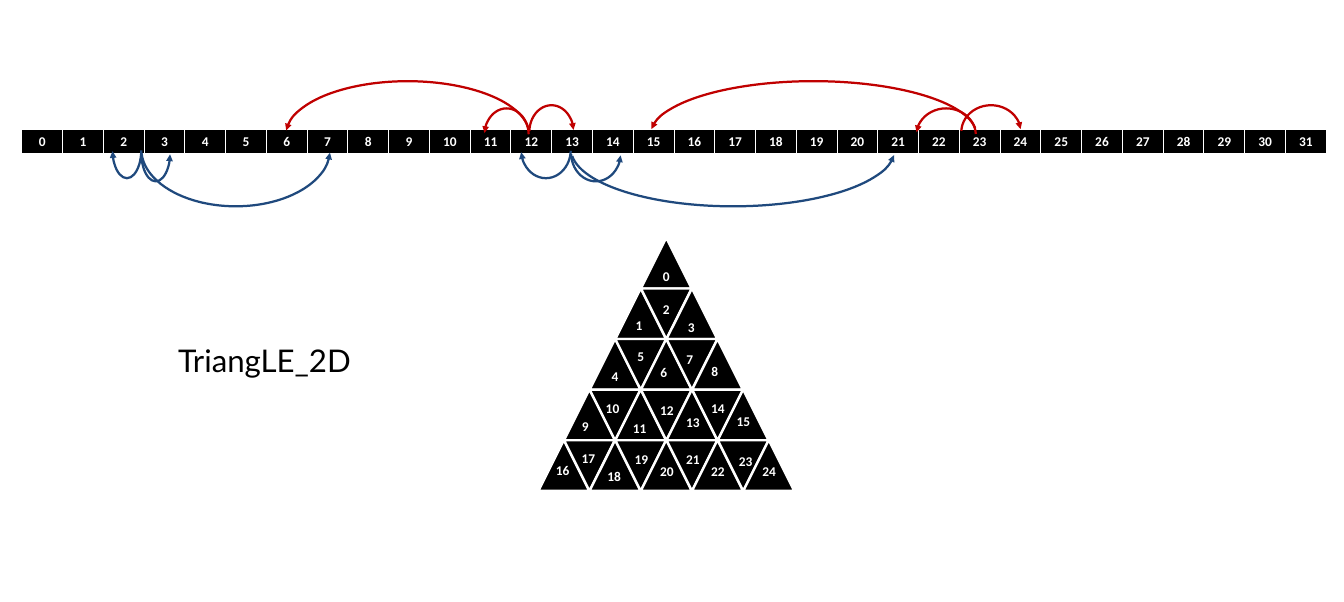
import math
from dataclasses import dataclass

import pptx
import pptx.dml.color
import pptx.enum.shapes
import pptx.enum.text
import pptx.oxml
import pptx.oxml.ns
import pptx.util
from pptx.util import Cm

BLACK, WHITE, RED, BLUE = "000000", "FFFFFF", "C00000", "1F497D"
SIDE, HALF_STEP = 1.6, 0.81
APEX_LEFT, APEX_TOP = 20.27, 7.53
CELL_COUNT = 32


@dataclass
class Hop:
    left: float
    top: float
    width: float
    height: float
    color: str
    flip_h: bool = False
    flip_v: bool = False
    end: float = 212.57


@dataclass
class Label:
    left: float
    top: float


HOPS = [
    Hop(16.74, 3.33, 1.4, 1.7, RED),
    Hop(15.32, 3.43, 1.4, 1.7, RED, flip_h=True),
    Hop(9.04, 2.57, 7.7, 3.4, RED, flip_h=True, end=214.75),
    Hop(30.4, 3.33, 1.88, 1.7, RED),
    Hop(28.98, 3.43, 1.88, 1.7, RED, flip_h=True),
    Hop(20.57, 2.57, 10.31, 3.4, RED, flip_h=True, end=214.75),
    Hop(18.06, 3.94, 1.57, 1.8, BLUE, flip_v=True),
    Hop(16.48, 3.84, 1.57, 1.8, BLUE, flip_h=True, flip_v=True),
    Hop(18.06, 2.92, 10.24, 3.61, BLUE, flip_v=True, end=214.75),
    Hop(4.47, 3.94, 0.91, 1.8, BLUE, flip_v=True),
    Hop(3.56, 3.84, 0.91, 1.8, BLUE, flip_h=True, flip_v=True),
    Hop(4.47, 2.92, 5.97, 3.61, BLUE, flip_v=True, end=214.75),
]

LABELS = [
    Label(20.7, 8.36),
    Label(19.84, 9.91), Label(20.7, 9.4), Label(21.49, 9.96),
    Label(19.08, 11.51), Label(19.89, 10.9), Label(20.62, 11.4),
    Label(21.44, 11), Label(22.23, 11.38),
    Label(18.14, 13.11), Label(18.9, 12.55), Label(19.76, 13.16),
    Label(20.62, 12.6), Label(21.44, 12.98), Label(22.23, 12.55),
    Label(23.04, 12.95),
    Label(17.32, 14.5), Label(18.14, 14.12), Label(18.95, 14.68),
    Label(19.81, 14.15), Label(20.62, 14.53), Label(21.44, 14.15),
    Label(22.23, 14.53), Label(23.11, 14.2), Label(23.85, 14.53),
]


def rgb(value: str) -> pptx.dml.color.RGBColor:
    return pptx.dml.color.RGBColor.from_string(value)


def format_text(tf, size: float, font: str, color: str, bold: bool, centered: bool) -> None:
    p = tf.paragraphs[0]
    if centered:
        p.alignment = pptx.enum.text.PP_ALIGN.CENTER
    r = p.runs[0]
    r.font.size = pptx.util.Pt(size)
    r.font.name = font
    r.font.bold = bold
    r.font.color.rgb = rgb(color)


def add_text(shapes, text: str, left: float, top: float, width: float, height: float,
             size: float, font: str, color: str, bold: bool, centered: bool) -> None:
    tf = shapes.add_textbox(Cm(left), Cm(top), Cm(width), Cm(height)).text_frame
    tf.text = text
    tf.word_wrap = False
    tf.auto_size = pptx.enum.text.MSO_AUTO_SIZE.SHAPE_TO_FIT_TEXT
    format_text(tf, size, font, color, bold, centered)


def add_triangle(shapes, number: int, label: Label) -> None:
    row = math.isqrt(number)
    column = number - row * row
    sp = shapes.add_shape(
        pptx.enum.shapes.MSO_SHAPE.ISOSCELES_TRIANGLE,
        Cm(APEX_LEFT + (column - row) * HALF_STEP), Cm(APEX_TOP + row * SIDE),
        Cm(SIDE), Cm(SIDE))
    sp.shadow.inherit = False
    sp.rotation = 180 * (column % 2)
    sp.fill.solid()
    sp.fill.fore_color.rgb = rgb(BLACK)
    sp.line.color.rgb = rgb(WHITE)
    sp.line.width = pptx.util.Pt(2)
    width = 0.74 if number < 10 else 0.94
    add_text(shapes, str(number), label.left, label.top, width, 0.77,
             12, "Calibri", WHITE, True, True)


def add_border(cell, side: str, points: float) -> None:
    cell._tc.get_or_add_tcPr().append(pptx.oxml.parse_xml(
        f'<a:{side} {pptx.oxml.ns.nsdecls("a")} w="{pptx.util.Pt(points)}">'
        f'<a:solidFill><a:srgbClr val="{WHITE}"/></a:solidFill></a:{side}>'))


def add_memory_table(shapes) -> None:
    table = shapes.add_table(1, CELL_COUNT, Cm(0.69), Cm(4.11), Cm(41.25), Cm(0.79)).table
    for number, cell in enumerate(table.iter_cells()):
        cell.text_frame.text = str(number)
        format_text(cell.text_frame, 12, "Calibri", WHITE, True, True)
        cell.vertical_anchor = pptx.enum.text.MSO_ANCHOR.MIDDLE
        cell.margin_left = cell.margin_right = Cm(0.42)
        cell.margin_top = cell.margin_bottom = Cm(0.13)
        for side, points in (("lnL", 1), ("lnR", 1), ("lnT", 1), ("lnB", 3)):
            add_border(cell, side, points)
        cell.fill.solid()
        cell.fill.fore_color.rgb = rgb(BLACK)


def add_hop(shapes, hop: Hop) -> None:
    sp = shapes.add_shape(pptx.enum.shapes.MSO_SHAPE.ARC, Cm(hop.left), Cm(hop.top),
                          Cm(hop.width), Cm(hop.height))
    sp.shadow.inherit = False
    sp.adjustments[0] = 109.46
    sp.adjustments[1] = hop.end
    sp.fill.background()
    sp.line.color.rgb = rgb(hop.color)
    sp.line.width = pptx.util.Pt(2)
    xfrm = sp._element.spPr.xfrm
    if hop.flip_h:
        xfrm.set("flipH", "1")
    if hop.flip_v:
        xfrm.set("flipV", "1")
    sp._element.spPr.ln.append(pptx.oxml.parse_xml(
        f'<a:tailEnd {pptx.oxml.ns.nsdecls("a")} type="triangle"/>'))


def main() -> None:
    prs = pptx.Presentation()
    prs.slide_width, prs.slide_height = Cm(42.5), Cm(19.05)
    s = prs.slides.add_slide(prs.slide_layouts[6])
    pyramid = s.shapes.add_group_shape()
    for number, label in enumerate(LABELS):
        add_triangle(pyramid.shapes, number, label)
    add_memory_table(s.shapes)
    for hop in HOPS:
        add_hop(s.shapes, hop)
    add_text(s.shapes, "TriangLE_2D", 5.38, 10.67, 6.93, 1.45,
             28, "Lato", BLACK, False, False)
    prs.save("out.pptx")


if __name__ == "__main__":
    main()
